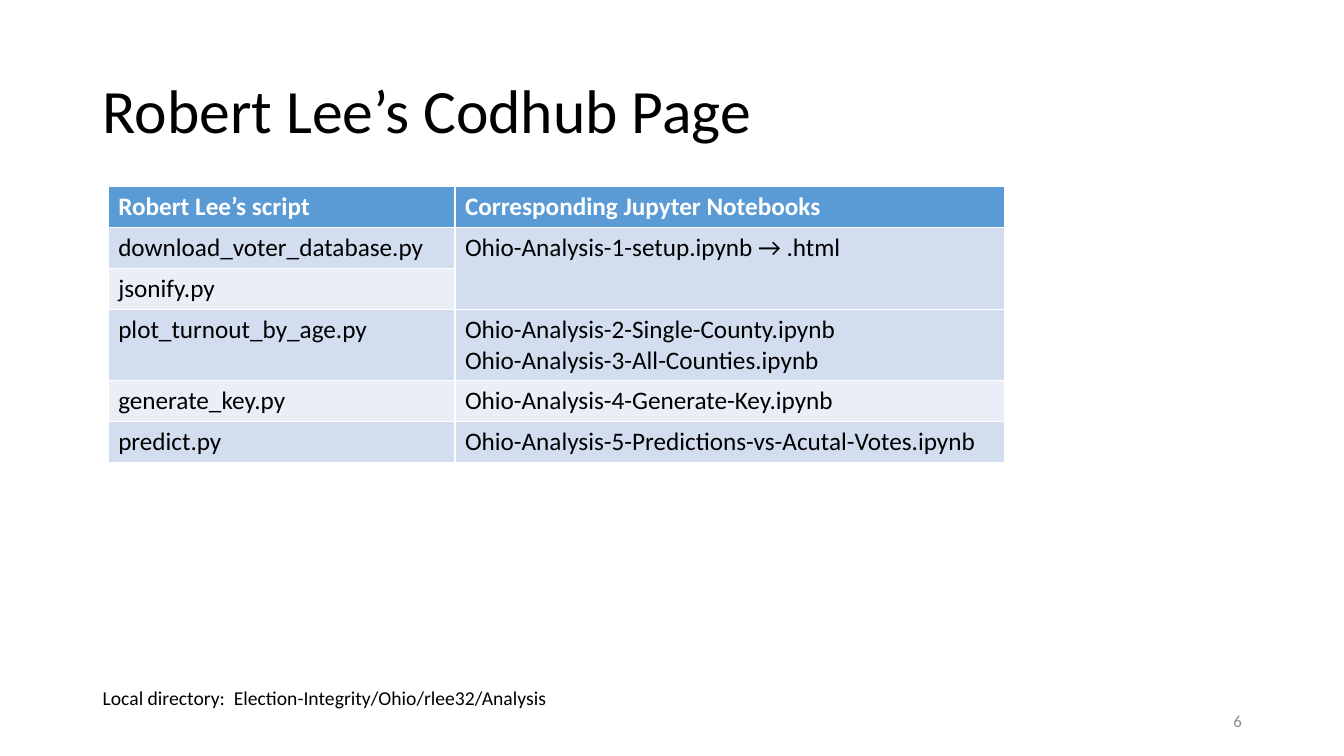
from pptx import Presentation
from pptx.dml.color import RGBColor as Rgb
from pptx.enum.text import MSO_ANCHOR as Anchor, PP_ALIGN as Align
from pptx.util import Inches, Pt

WIDTH, HEIGHT = Inches(13.33), Inches(7.5)
LEFT = 6.9
COLS = [25.8, 40.89]
ROWS = [5.44, 5.44, 5.44, 9.27, 5.44, 5.44]
HEAD, DARK, PALE = "5B9BD5", "D2DEEF", "EAEFF7"
SCRIPTS = [
    ("Robert Lee’s script", "Corresponding Jupyter Notebooks"),
    ("download_voter_database.py", "Ohio-Analysis-1-setup.ipynb → .html"),
    ("jsonify.py", ""),
    ("plot_turnout_by_age.py",
     "Ohio-Analysis-2-Single-County.ipynb\nOhio-Analysis-3-All-Counties.ipynb"),
    ("generate_key.py", "Ohio-Analysis-4-Generate-Key.ipynb"),
    ("predict.py", "Ohio-Analysis-5-Predictions-vs-Acutal-Votes.ipynb"),
]


def across(share):
    return round(WIDTH * share / 100)


def down(share):
    return round(HEIGHT * share / 100)


def box(left, top, width, height):
    return across(left), down(top), across(width), down(height)


def color(code):
    return Rgb.from_string(code)


def write(frame, text, size, code="000000", bold=False, align=Align.LEFT):
    frame.text = text
    for para in frame.paragraphs:
        para.alignment = align
        for run in para.runs:
            font = run.font
            font.name, font.size, font.bold = "Calibri", Pt(size), bold
            font.color.rgb = color(code)


def add_title(slide, text, area):
    title = slide.shapes.title
    title.left, title.top, title.width, title.height = area
    frame = title.text_frame
    write(frame, text, 44)
    frame.vertical_anchor = Anchor.MIDDLE
    frame.paragraphs[0].line_spacing = 0.9


def add_label(slide, text, area, size, code="000000", align=Align.LEFT,
              anchor=Anchor.TOP):
    frame = slide.shapes.add_textbox(*area).text_frame
    frame.word_wrap = True
    frame.vertical_anchor = anchor
    write(frame, text, size, code, align=align)


def add_grid(slide, data, left, top):
    area = box(left, top, sum(COLS), sum(ROWS))
    table = slide.shapes.add_table(len(ROWS), len(COLS), *area).table
    for col, share in zip(table.columns, COLS):
        col.width = across(share)
    for i, (row, share) in enumerate(zip(table.rows, ROWS)):
        row.height = down(share)
        fill = HEAD if i == 0 else DARK if i % 2 else PALE
        for cell, text in zip(row.cells, data[i]):
            write(cell.text_frame, text, 18,
                  "000000" if i else "FFFFFF", bold=i == 0)
            cell.fill.solid()
            cell.fill.fore_color.rgb = color(fill)
    table.cell(1, 1).merge(table.cell(2, 1))


def main():
    deck = Presentation()
    deck.slide_width, deck.slide_height = WIDTH, HEIGHT
    slide = deck.slides.add_slide(deck.slide_layouts[5])
    add_title(slide, "Robert Lee’s Codhub Page", box(LEFT, 5.33, 86.25, 19.33))
    add_label(slide, "Local directory:  Election-Integrity/Ohio/rlee32/Analysis",
              box(LEFT, 90.13, 63.6, 4.53), 14)
    add_label(slide, "6", box(70.65, 92.67, 22.5, 5.33), 12, "8C8C8C",
              Align.RIGHT, Anchor.MIDDLE)
    add_grid(slide, SCRIPTS, 8.05, 24.67)
    deck.save("out.pptx")


if __name__ == "__main__":
    main()
